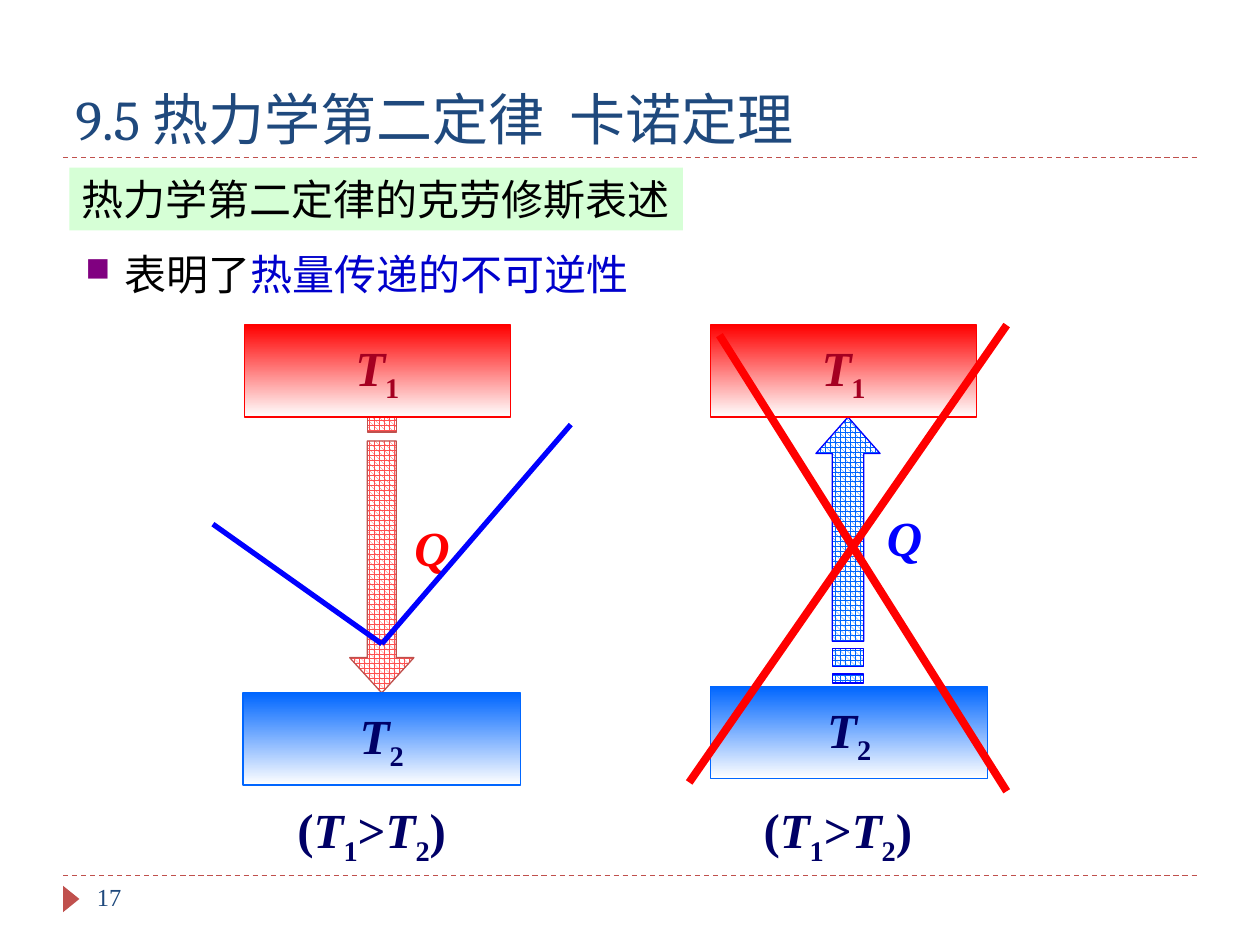
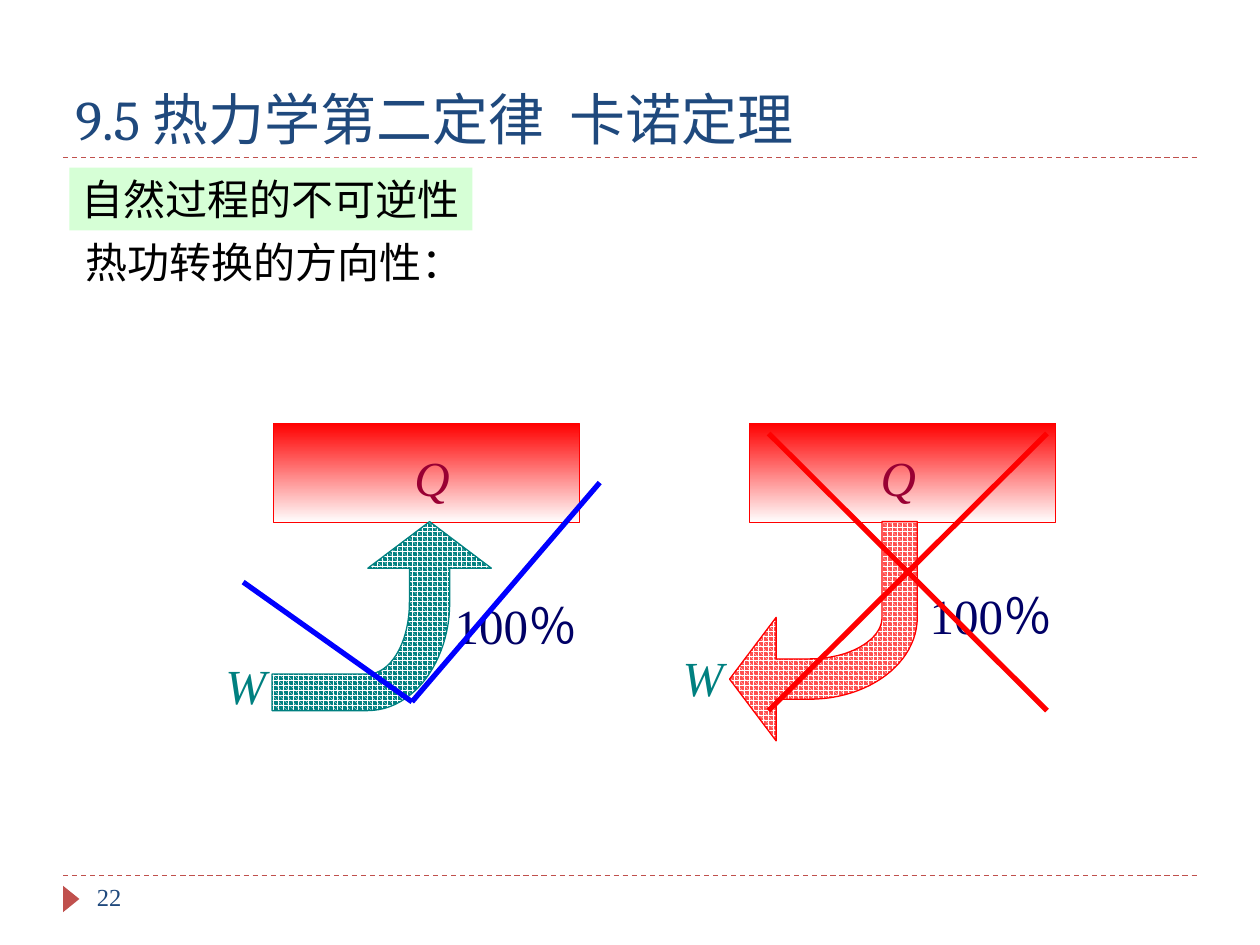
from dataclasses import dataclass

from lxml.etree import SubElement
from pptx import Presentation
from pptx.dml.color import RGBColor
from pptx.enum.dml import MSO_LINE, MSO_PATTERN
from pptx.enum.shapes import MSO_CONNECTOR, MSO_SHAPE
from pptx.enum.text import MSO_ANCHOR, PP_ALIGN
from pptx.oxml.ns import qn
from pptx.util import Inches, Pt

TITLE = "9.5 热力学第二定律  卡诺定理"
BODY_FONT = "Times New Roman"
TITLE_FONT = "Cambria"
RED, BLUE, NAVY = "FF0000", "0000FF", "000066"
TEAL, WHITE, BLACK = "008080", "FFFFFF", "000000"
ACCENT, TITLE_BLUE, COLD = "C0504D", "1F497D", "0066FF"
MINT, PURPLE, EMPHASIS = "CCFFCC", "800080", "0000CC"
CORAL, HOT_TEXT, HEAT_TEXT = "FF5050", "A50021", "990033"

Point = tuple[float, float]


@dataclass
class Run:
    text: str
    color: str
    size: int = 28
    bold: bool = False
    italic: bool = False
    sub: bool = False
    font: str = BODY_FONT


@dataclass
class Box:
    left: float
    top: float
    width: float
    height: float

    def inches(self) -> list[int]:
        return [Inches(v) for v in (self.left, self.top, self.width, self.height)]


@dataclass
class Pattern:
    fore: str
    back: str
    outline: str


@dataclass
class StripedArrow:
    center: float
    tip: float
    head: float
    shaft_end: float
    bands: list[Point]
    half_shaft: float
    pattern: Pattern
    half_head: float = 0.255


@dataclass
class HeatPanel:
    hot: Box
    cold: Box
    arrow: StripedArrow
    heat: Box
    heat_color: str
    caption: Box


@dataclass
class WorkPanel:
    reservoir: Box
    start: Point
    segments: list[tuple[float, ...]]
    pattern: Pattern
    work: Box
    heat: Box
    percent: Box


def rgb(value: str) -> RGBColor:
    return RGBColor.from_string(value)


def symbol(letter: str, index: str, color: str) -> list[Run]:
    return [Run(letter, color, bold=True, italic=True),
            Run(index, color, bold=True, sub=True)]


def write(s, runs: list[Run], wrap=True, anchor=MSO_ANCHOR.TOP, align=PP_ALIGN.LEFT):
    tf = s.text_frame
    tf.word_wrap = wrap
    tf.vertical_anchor = anchor
    p = tf.paragraphs[0]
    p.alignment = align
    for run in runs:
        r = p.add_run()
        r.text = run.text
        r.font.name = run.font
        r.font.size = Pt(run.size)
        r.font.bold = run.bold
        r.font.italic = run.italic
        r.font.color.rgb = rgb(run.color)
        if run.sub:
            r.font._element.set("baseline", "-25000")
    return p


def add_text(slide, box: Box, runs: list[Run], **layout):
    return write(slide.shapes.add_textbox(*box.inches()), runs, **layout)


def add_line(slide, start: Point, end: Point, color: str, width: float, dash=None) -> None:
    c = slide.shapes.add_connector(MSO_CONNECTOR.STRAIGHT,
                                   *(Inches(v) for v in (*start, *end)))
    c.line.color.rgb = rgb(color)
    c.line.width = Pt(width)
    if dash:
        c.line.dash_style = dash
    SubElement(c._element.spPr, qn("a:effectLst"))


def add_reservoir(slide, box: Box, color: str, runs: list[Run]) -> None:
    s = slide.shapes.add_shape(MSO_SHAPE.RECTANGLE, *box.inches())
    s.shadow.inherit = False
    s.fill.gradient()
    s.fill.gradient_angle = 270
    for stop, stop_color in zip(s.fill.gradient_stops, (color, WHITE)):
        stop.color.rgb = rgb(stop_color)
    s.line.color.rgb = rgb(color)
    s.line.width = Pt(0.75)
    write(s, runs, wrap=False, anchor=MSO_ANCHOR.MIDDLE, align=PP_ALIGN.CENTER)


def add_outline(slide, contours: list[list[Point]], pattern: Pattern) -> None:
    first, *others = [[(Inches(x), Inches(y)) for x, y in contour] for contour in contours]
    builder = slide.shapes.build_freeform(*first[0])
    builder.add_line_segments(first[1:], close=True)
    for contour in others:
        builder.move_to(*contour[0])
        builder.add_line_segments(contour[1:], close=True)
    s = builder.convert_to_shape()
    s.shadow.inherit = False
    s.fill.patterned()
    s.fill.pattern = MSO_PATTERN.SPHERE
    s.fill.fore_color.rgb = rgb(pattern.fore)
    s.fill.back_color.rgb = rgb(pattern.back)
    s.line.color.rgb = rgb(pattern.outline)
    s.line.width = Pt(0.75)


def add_striped_arrow(slide, a: StripedArrow) -> None:
    left, right = a.center - a.half_shaft, a.center + a.half_shaft
    body = [(a.center - a.half_head, a.head), (left, a.head), (left, a.shaft_end),
            (right, a.shaft_end), (right, a.head), (a.center + a.half_head, a.head),
            (a.center, a.tip)]
    bands = [[(left, y1), (right, y1), (right, y2), (left, y2)] for y1, y2 in a.bands]
    add_outline(slide, [body, *bands], a.pattern)


def bezier(p0: Point, control: tuple[float, ...], steps: int = 24) -> list[Point]:
    x1, y1, x2, y2, x3, y3 = control

    def at(t: float, a: float, b: float, c: float, d: float) -> float:
        u = 1 - t
        return u**3 * a + 3 * u * u * t * b + 3 * u * t * t * c + t**3 * d

    return [(at(i / steps, p0[0], x1, x2, x3), at(i / steps, p0[1], y1, y2, y3))
            for i in range(1, steps + 1)]


def trace(start: Point, segments: list[tuple[float, ...]]) -> list[Point]:
    points = [start]
    for segment in segments:
        points += [segment] if len(segment) == 2 else bezier(points[-1], segment)
    return points


def add_check(slide, left: Point, bottom: Point, right: Point) -> None:
    for end in (left, right):
        add_line(slide, end, bottom, BLUE, 3)


def add_base(prs, number: str, heading: str, heading_width: float):
    slide = prs.slides.add_slide(prs.slide_layouts[6])
    for y in (6.95, 1.25):
        add_line(slide, (0.5, y), (9.5, y), ACCENT, 0.75, MSO_LINE.DASH)
    marker = slide.shapes.add_shape(MSO_SHAPE.ISOSCELES_TRIANGLE,
                                    *Box(0.46, 7.07, 0.21, 0.13).inches())
    marker.rotation = 90
    band = slide.shapes.add_shape(MSO_SHAPE.RECTANGLE,
                                  *Box(0.55, 1.33, heading_width, 0.5).inches())
    for s, color in ((marker, ACCENT), (band, MINT)):
        s.shadow.inherit = False
        s.fill.solid()
        s.fill.fore_color.rgb = rgb(color)
        s.line.fill.background()
    mint = band._element.spPr.find(qn("a:solidFill"))[0]
    SubElement(mint, qn("a:alpha")).set("val", "80000")
    write(band, [Run(heading, BLACK, 24)], wrap=False, anchor=MSO_ANCHOR.MIDDLE)
    add_text(slide, Box(0.5, 0.25, 9, 1), [Run(TITLE, TITLE_BLUE, 32, font=TITLE_FONT)],
             anchor=MSO_ANCHOR.BOTTOM)
    add_text(slide, Box(0.67, 6.95, 2.17, 0.4), [Run(number, TITLE_BLUE, 14)])
    return slide


def add_square_bullet(p) -> None:
    pPr = p._p.get_or_add_pPr()
    pPr.set("marL", str(Inches(0.31)))
    pPr.set("indent", str(-Inches(0.31)))
    color = SubElement(pPr, qn("a:buClr"))
    SubElement(color, qn("a:srgbClr")).set("val", PURPLE)
    SubElement(pPr, qn("a:buSzPct")).set("val", "80000")
    SubElement(pPr, qn("a:buChar")).set("char", "■")


def add_heat_panel(slide, panel: HeatPanel) -> None:
    add_striped_arrow(slide, panel.arrow)
    add_reservoir(slide, panel.hot, RED, symbol("T", "1", HOT_TEXT))
    add_reservoir(slide, panel.cold, COLD, symbol("T", "2", NAVY))
    add_text(slide, panel.heat, [Run("Q", panel.heat_color, bold=True, italic=True)])
    caption = [Run("(", NAVY, bold=True), *symbol("T", "1", NAVY),
               Run(">", NAVY, bold=True), *symbol("T", "2", NAVY),
               Run(")", NAVY, bold=True)]
    add_text(slide, panel.caption, caption, align=PP_ALIGN.CENTER)


def add_work_panel(slide, panel: WorkPanel) -> None:
    add_reservoir(slide, panel.reservoir, RED, [])
    add_outline(slide, [trace(panel.start, panel.segments)], panel.pattern)
    add_text(slide, panel.work, [Run("W", TEAL, italic=True)])
    add_text(slide, panel.heat, [Run("Q", HEAT_TEXT, italic=True)])
    add_text(slide, panel.percent, [Run("100％", NAVY)])


def build_clausius(prs) -> None:
    slide = add_base(prs, "17", "热力学第二定律的克劳修斯表述", 4.87)
    p = add_text(slide, Box(0.58, 1.82, 4.92, 0.6),
                 [Run("表明了", BLACK, 24), Run("热量传递的不可逆性", EMPHASIS, 24)])
    p.line_spacing = 1.25
    add_square_bullet(p)
    down = StripedArrow(3.03, 5.5, 5.22, 3.5, [(3.28, 3.43), (3.14, 3.21)], 0.115,
                        Pattern(CORAL, WHITE, ACCENT))
    up = StripedArrow(6.73, 3.31, 3.6, 5.09, [(5.29, 5.15), (5.42, 5.35)], 0.125,
                      Pattern(COLD, WHITE, BLUE))
    panels = [
        HeatPanel(Box(1.94, 2.58, 2.11, 0.73), Box(1.93, 5.5, 2.2, 0.73), down,
                  Box(3.19, 4.06, 0.66, 0.57), RED, Box(1.85, 6.3, 2.2, 0.57)),
        HeatPanel(Box(5.64, 2.58, 2.11, 0.73), Box(5.64, 5.45, 2.2, 0.73), up,
                  Box(6.94, 3.98, 0.66, 0.57), BLUE, Box(5.55, 6.3, 2.2, 0.57)),
    ]
    for panel in panels:
        add_heat_panel(slide, panel)
    add_line(slide, (7.99, 2.58), (5.47, 6.21), RED, 4.5)
    add_line(slide, (5.71, 2.66), (7.99, 6.28), RED, 4.5)
    add_check(slide, (1.69, 4.16), (3.03, 5.11), (4.53, 3.37))


def build_irreversibility(prs) -> None:
    slide = add_base(prs, "22", "自然过程的不可逆性", 3.2)
    add_text(slide, Box(0.58, 1.83, 3.92, 0.5), [Run("热功转换的方向性：", BLACK, 24)])
    work_to_heat = [
        (3.9, 4.51), (3.57, 4.51), (3.57, 4.78), (3.57, 5.25, 3.28, 5.64, 2.92, 5.64),
        (2.16, 5.64), (2.16, 5.35), (2.92, 5.35), (3.1, 5.35, 3.25, 5.1, 3.25, 4.78),
        (3.25, 4.51), (2.92, 4.51)]
    heat_to_work = [
        (6.16, 5.88), (6.16, 5.55), (6.42, 5.55), (6.9, 5.55, 7.28, 5.26, 7.28, 4.9),
        (7.28, 4.14), (7, 4.14), (7, 4.9), (7, 5.08, 6.74, 5.23, 6.42, 5.23),
        (6.16, 5.23), (6.16, 4.9)]
    panels = [
        WorkPanel(Box(2.17, 3.36, 2.43, 0.79), (3.41, 4.14), work_to_heat,
                  Pattern(WHITE, TEAL, TEAL), Box(1.69, 5.15, 1.02, 0.57),
                  Box(3.19, 3.5, 1.02, 0.57), Box(3.51, 4.68, 1.73, 0.57)),
        WorkPanel(Box(5.95, 3.36, 2.43, 0.79), (5.79, 5.39), heat_to_work,
                  Pattern(WHITE, CORAL, RED), Box(5.32, 5.09, 1.02, 0.57),
                  Box(6.89, 3.5, 1.02, 0.57), Box(7.28, 4.6, 1.73, 0.57)),
    ]
    for panel in panels:
        add_work_panel(slide, panel)
    for x1, x2 in ((8.31, 6.1), (6.1, 8.31)):
        add_line(slide, (x1, 3.44), (x2, 5.64), RED, 3)
    add_check(slide, (1.93, 4.62), (3.27, 5.57), (4.76, 3.83))


def main() -> None:
    prs = Presentation()
    prs.slide_width, prs.slide_height = Inches(10), Inches(7.5)
    build_clausius(prs)
    build_irreversibility(prs)
    prs.save("out.pptx")


if __name__ == "__main__":
    main()
